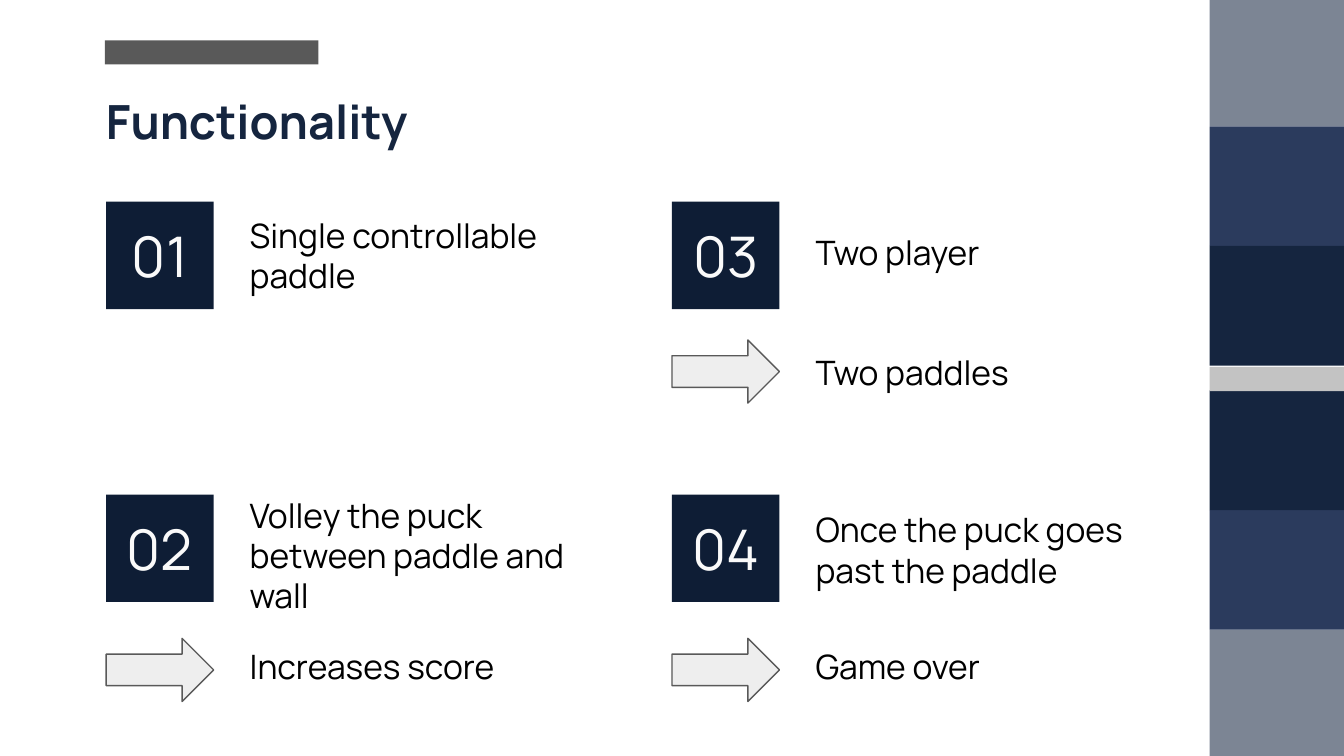
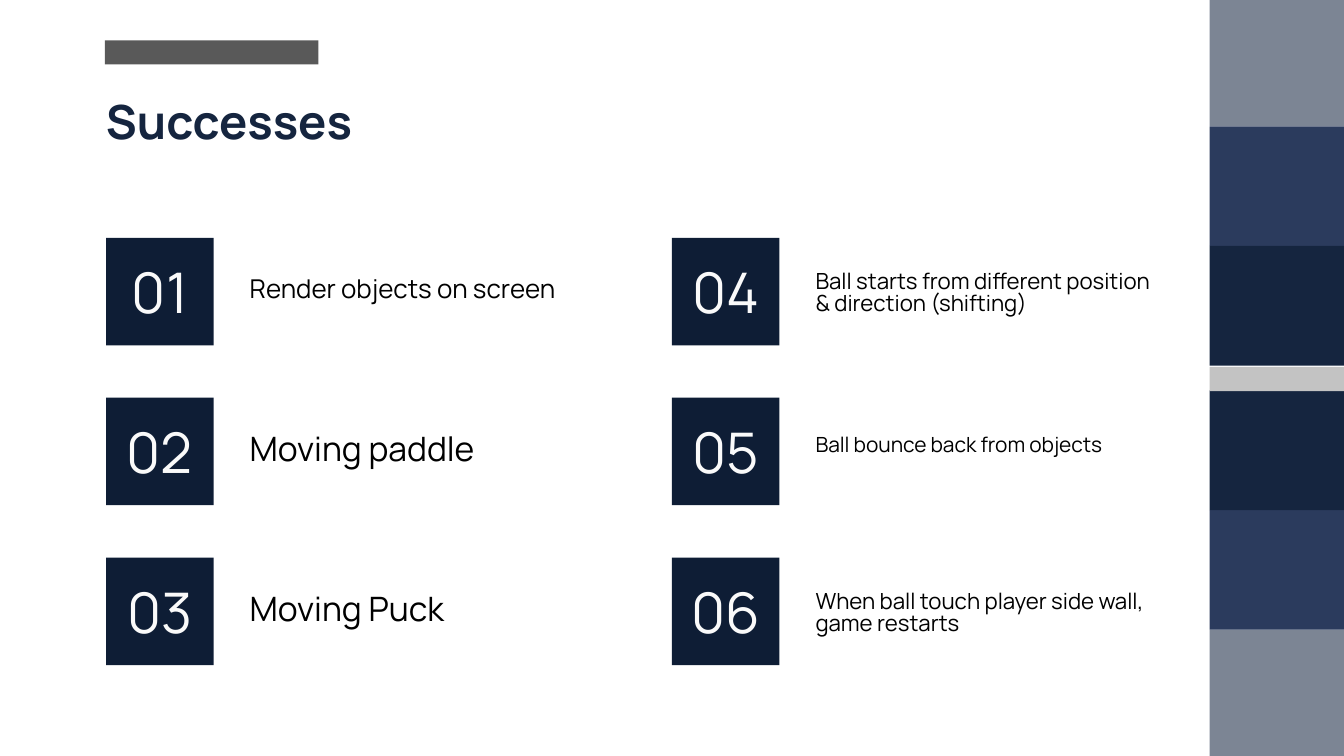
import pptx
import pptx.util
import pptx.dml.color
import pptx.enum.shapes
import pptx.enum.text
from dataclasses import dataclass

SHAPE = pptx.enum.shapes.MSO_SHAPE
ALIGN = pptx.enum.text.PP_ALIGN
ANCHOR = pptx.enum.text.MSO_ANCHOR
Inches = pptx.util.Inches
Pt = pptx.util.Pt


@dataclass(frozen=True)
class Theme:
    font: str = "Manrope"
    navy: str = "15253F"
    blue: str = "2B3B5D"
    slate: str = "7C8594"
    silver: str = "C3C3C3"
    tile: str = "0E1D35"
    number: str = "FAFAFA"
    text: str = "000000"
    accent: str = "595959"
    arrow: str = "EEEEEE"
    title_size: float = 25.2
    number_size: float = 30
    body_size: float = 18


theme = Theme()

# Grid, in inches
WIDTH = 10
HEIGHT = WIDTH * 9 / 16
COLUMNS = (0.79, 5)
TILE = 0.8
TEXT_OFFSET = 0.97
TEXT_WIDTH, TEXT_HEIGHT = 2.77, 0.48
ARROW_HEIGHT = 0.47
BAND_LEFT = 0.9 * WIDTH
BAND_COLORS = (theme.slate, theme.blue, theme.navy)
BAND_HEIGHTS = (0.94, 0.89, 0.89)
STRIPE_TOP, STRIPE_HEIGHT = 2.73, 0.18


def add_block(slide, kind, left, top, width, height, fill, line=None):
    block = slide.shapes.add_shape(
        kind, Inches(left), Inches(top), Inches(width), Inches(height))
    block.shadow.inherit = False
    block.fill.solid()
    block.fill.fore_color.rgb = pptx.dml.color.RGBColor.from_string(fill)
    if line:
        block.line.color.rgb = pptx.dml.color.RGBColor.from_string(line)
        block.line.width = Pt(0.75)
    else:
        block.line.fill.background()
    return block


def write(shape, text, size, color, bold=False, spacing=None,
          align=ALIGN.LEFT, anchor=ANCHOR.TOP):
    frame = shape.text_frame
    frame.word_wrap = True
    frame.vertical_anchor = anchor
    frame.margin_left = frame.margin_right = Inches(0.1)
    frame.margin_top = frame.margin_bottom = Inches(0.1)
    paragraph = frame.paragraphs[0]
    paragraph.alignment = align
    if spacing:
        paragraph.line_spacing = spacing
    run = paragraph.add_run()
    run.text = text
    run.font.name = theme.font
    run.font.size = Pt(size)
    run.font.bold = bold
    run.font.color.rgb = pptx.dml.color.RGBColor.from_string(color)


# Tiles: column, tile top, text drop below tile top, text width, text height,
# wording, size, line spacing
BODY = theme.body_size
feature_rows = (1.5, 3.68)
success_rows = [1.77 + 1.19 * row for row in range(3)]
SUCCESS_BOX = (0.16, TEXT_WIDTH, TEXT_HEIGHT)

features = [
    (0, feature_rows[0], 0, TEXT_WIDTH, 0.8, "Single controllable paddle", BODY, None),
    (0, feature_rows[1], -0.1, 2.96, 1.08,
     "Volley the puck between paddle and wall", BODY, None),
    (1, feature_rows[0], 0.16, TEXT_WIDTH, TEXT_HEIGHT, "Two player", BODY, 0.9),
    (1, feature_rows[1], 0.01, TEXT_WIDTH, 0.63,
     "Once the puck goes past the paddle", BODY, None),
]
successes = [
    (0, success_rows[0], *SUCCESS_BOX, "Render objects on screen", 13.9, None),
    (0, success_rows[1], *SUCCESS_BOX, "Moving paddle", BODY, 0.9),
    (0, success_rows[2], *SUCCESS_BOX, "Moving Puck", BODY, 0.9),
    (1, success_rows[0], *SUCCESS_BOX,
     "Ball starts from different position & direction (shifting)", 11.9, 0.8),
    (1, success_rows[1], *SUCCESS_BOX, "Ball bounce back from objects", 11.2, None),
    (1, success_rows[2], *SUCCESS_BOX,
     "When ball touch player side wall, game restarts", 11.9, 0.8),
]

# Outcomes beside arrows: column, top, text width, wording, line spacing
outcomes = [
    (0, 4.75, TEXT_WIDTH, "Increases score", 0.9),
    (1, 2.53, 2.27, "Two paddles", None),
    (1, 4.75, TEXT_WIDTH, "Game over", 0.9),
]

deck = pptx.Presentation()
deck.slide_width, deck.slide_height = Inches(WIDTH), Inches(HEIGHT)

for heading, items, results in [("Functionality", features, outcomes),
                                ("Successes", successes, [])]:
    slide = deck.slides.add_slide(deck.slide_layouts[6])

    # Accent bar and heading
    add_block(slide, SHAPE.RECTANGLE, 0.78, 0.3, 1.59, 0.18, theme.accent)
    title = slide.shapes.add_textbox(
        Inches(0.69), Inches(0.59), Inches(8.52), Inches(0.63))
    write(title, heading, theme.title_size, theme.navy, bold=True)

    # Numbered tiles with their wording
    for number, (column, top, drop, width, height, wording, size, spacing) in enumerate(items, 1):
        left = COLUMNS[column]
        tile = add_block(slide, SHAPE.RECTANGLE, left, top, TILE, TILE, theme.tile)
        write(tile, f"{number:02}", theme.number_size, theme.number,
              align=ALIGN.CENTER, anchor=ANCHOR.MIDDLE)
        label = slide.shapes.add_textbox(
            Inches(left + TEXT_OFFSET), Inches(top + drop), Inches(width), Inches(height))
        write(label, wording, size, theme.text, spacing=spacing)

    # Arrows to the outcomes
    for column, top, width, wording, spacing in results:
        left = COLUMNS[column]
        add_block(slide, SHAPE.RIGHT_ARROW, left, top, TILE, ARROW_HEIGHT,
                  theme.arrow, theme.accent)
        outcome = slide.shapes.add_textbox(
            Inches(left + TEXT_OFFSET), Inches(top - 0.01),
            Inches(width), Inches(TEXT_HEIGHT))
        write(outcome, wording, BODY, theme.text, spacing=spacing)

    # Colour band on the right edge, mirrored about the silver stripe
    reach = 0
    for color, height in zip(BAND_COLORS, BAND_HEIGHTS):
        for top in (reach, HEIGHT - reach - height):
            add_block(slide, SHAPE.RECTANGLE, BAND_LEFT, top,
                      WIDTH - BAND_LEFT, height, color)
        reach += height
    add_block(slide, SHAPE.RECTANGLE, BAND_LEFT, STRIPE_TOP,
              WIDTH - BAND_LEFT, STRIPE_HEIGHT, theme.silver)

deck.save("out.pptx")
